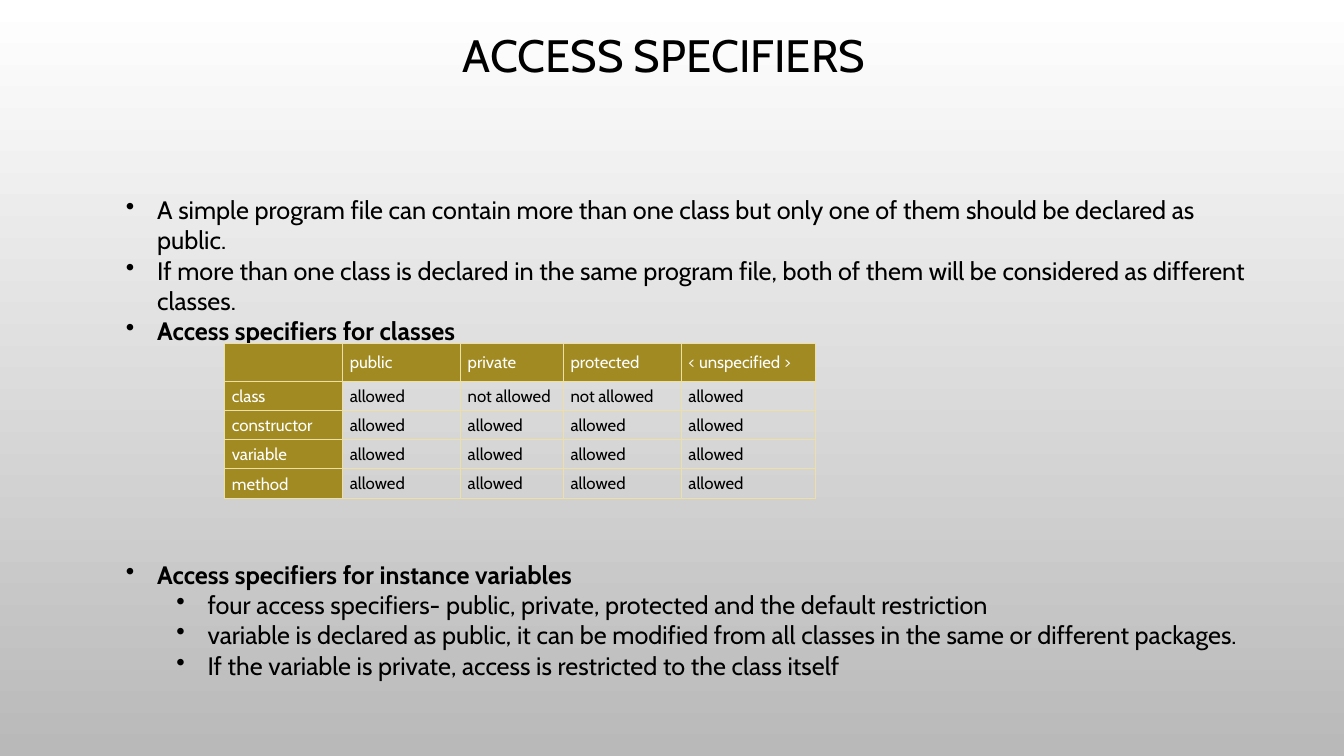
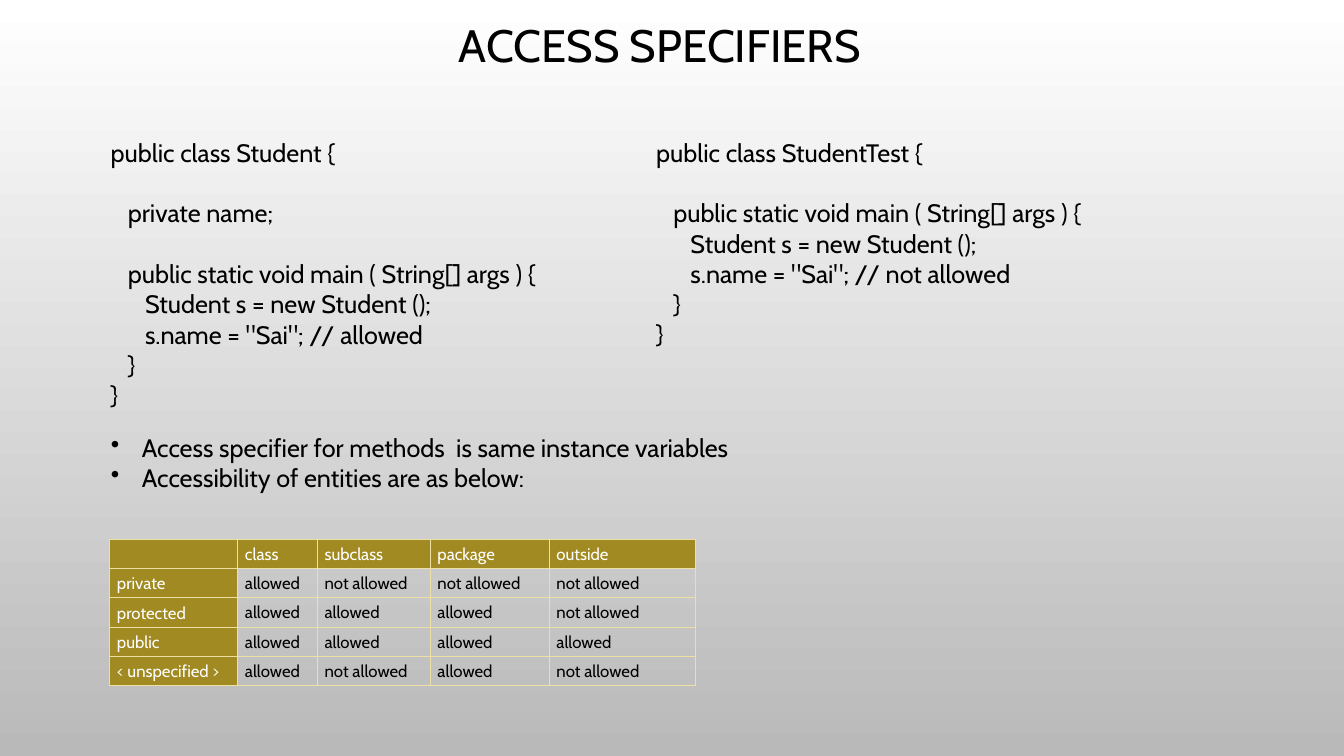
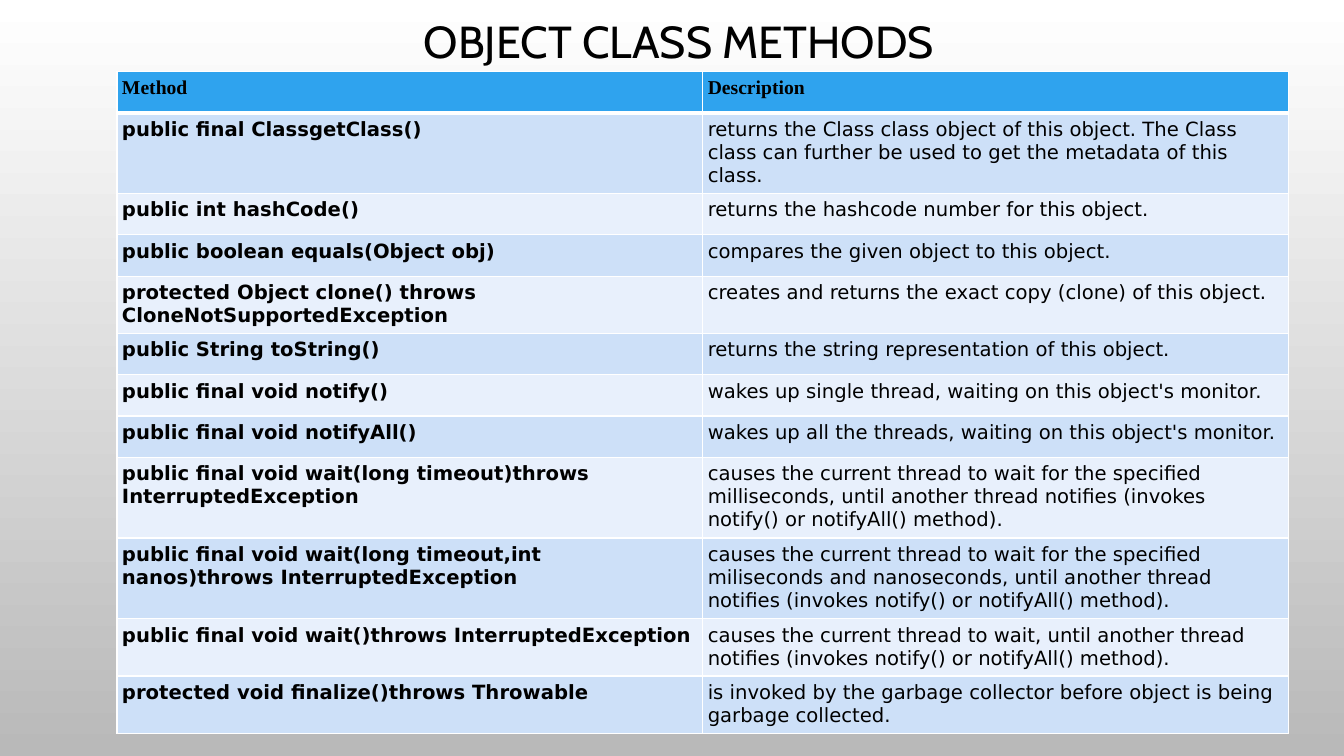
from lxml.etree import SubElement
from pptx import Presentation
from pptx.dml.color import RGBColor
from pptx.enum.text import MSO_ANCHOR, PP_ALIGN
from pptx.oxml.ns import qn
from pptx.util import Inches, Pt

COLORS = {
    "text": "000000",
    "white": "FFFFFF",
    "background_end": "B9B9B9",
    "olive": "A08A21",
    "olive_border": "EDE0A7",
    "blue": "2FA3EE",
    "band_dark": "CDE0F8",
    "band_light": "E8F0FC",
}
FONT = "Cabin"
METHOD_FONT = "DejaVu Sans"
HEADER_FONT = "Times New Roman"
BODY_SIZE = 18
CODE_LINE = Pt(21.8)
CODE_INDENT = 0.17
BULLET_HANG = 0.31

CLASS_ACCESS = [
    ["", "public", "private", "protected", "< unspecified >"],
    ["class", "allowed", "not allowed", "not allowed", "allowed"],
    ["constructor"] + ["allowed"] * 4,
    ["variable"] + ["allowed"] * 4,
    ["method"] + ["allowed"] * 4,
]
ENTITY_ACCESS = [
    ["", "class", "subclass", "package", "outside"],
    ["private", "allowed", "not allowed", "not allowed", "not allowed"],
    ["protected", "allowed", "allowed", "allowed", "not allowed"],
    ["public"] + ["allowed"] * 4,
    ["< unspecified >", "allowed", "not allowed", "allowed", "not allowed"],
]
OBJECT_METHODS = [
    ("Method", "Description"),
    ("public final ClassgetClass()",
     "returns the Class class object of this object. The Class class can "
     "further be used to get the metadata of this class."),
    ("public int hashCode()", "returns the hashcode number for this object."),
    ("public boolean equals(Object obj)",
     "compares the given object to this object."),
    ("protected Object clone() throws CloneNotSupportedException",
     "creates and returns the exact copy (clone) of this object."),
    ("public String toString()",
     "returns the string representation of this object."),
    ("public final void notify()",
     "wakes up single thread, waiting on this object's monitor."),
    ("public final void notifyAll()",
     "wakes up all the threads, waiting on this object's monitor."),
    ("public final void wait(long timeout)throws InterruptedException",
     "causes the current thread to wait for the specified milliseconds, until "
     "another thread notifies (invokes notify() or notifyAll() method)."),
    ("public final void wait(long timeout,int nanos)throws "
     "InterruptedException",
     "causes the current thread to wait for the specified miliseconds and "
     "nanoseconds, until another thread notifies (invokes notify() or "
     "notifyAll() method)."),
    ("public final void wait()throws InterruptedException",
     "causes the current thread to wait, until another thread notifies "
     "(invokes notify() or notifyAll() method)."),
    ("protected void finalize()throws Throwable",
     "is invoked by the garbage collector before object is being garbage "
     "collected."),
]

# Each code line is (indent level, text); None is a blank line.
STUDENT_CODE = [
    (0, "public class Student {"),
    None,
    (1, "private name;"),
    None,
    (1, "public static void main ( String[] args ) {"),
    (2, "Student s = new Student ();"),
    (2, 's.name = "Sai"; // allowed'),
    (1, "}"),
    (0, "}"),
]
STUDENT_TEST_CODE = [
    (0, "public class StudentTest {"),
    None,
    (1, "public static void main ( String[] args ) {"),
    (2, "Student s = new Student ();"),
    (2, 's.name = "Sai"; // not allowed'),
    (1, "}"),
    (0, "}"),
]


def color(name):
    return RGBColor.from_string(COLORS[name])


def set_font(paragraph, size, name=FONT, bold=False, color_name="text"):
    font = paragraph.font
    font.size = Pt(size)
    font.name = name
    font.bold = bold
    font.color.rgb = color(color_name)


def set_indent(paragraph, left, first=0.0):
    properties = paragraph._p.get_or_add_pPr()
    properties.set("marL", str(Inches(left)))
    properties.set("indent", str(Inches(first)))
    return properties


def set_background(master):
    fill = master.background.fill
    fill.gradient()
    fill.gradient_angle = 270
    for stop, name in zip(fill.gradient_stops, ("white", "background_end")):
        stop.color.rgb = color(name)


def add_text_frame(slide, left, top, width, height):
    shape = slide.shapes.add_textbox(*map(Inches, (left, top, width, height)))
    shape.text_frame.word_wrap = True
    return shape.text_frame


def add_paragraphs(frame, count):
    """Return count paragraphs, starting with the one already in the frame."""
    return [frame.paragraphs[0]] + [
        frame.add_paragraph() for _ in range(count - 1)]


def add_title(slide, text, left, top, height, size=32.4):
    frame = add_text_frame(slide, left, top, 11.33, height)
    frame.vertical_anchor = MSO_ANCHOR.MIDDLE
    paragraph = frame.paragraphs[0]
    paragraph.text = text
    paragraph.alignment = PP_ALIGN.CENTER
    paragraph.line_spacing = 0.9
    set_font(paragraph, size)


def add_bullets(slide, items, left, top, width, height):
    """Add bullets from (level, text, bold) items; return the paragraphs."""
    frame = add_text_frame(slide, left, top, width, height)
    paragraphs = add_paragraphs(frame, len(items))
    for paragraph, (level, text, bold) in zip(paragraphs, items):
        paragraph.text = text
        paragraph.level = level
        set_font(paragraph, BODY_SIZE, bold=bold)
        properties = set_indent(
            paragraph, BULLET_HANG + 0.5 * level, -BULLET_HANG)
        bullet = properties.makeelement(qn("a:buChar"), {"char": "•"})
        properties.find(qn("a:defRPr")).addprevious(bullet)
    return paragraphs


def add_code(slide, lines, left, top, width, height):
    frame = add_text_frame(slide, left, top, width, height)
    paragraphs = iter(add_paragraphs(frame, len(lines) - lines.count(None)))
    gap = Pt(0)
    for line in lines:
        if line is None:
            gap = CODE_LINE
            continue
        level, text = line
        paragraph = next(paragraphs)
        paragraph.text = text
        paragraph.space_before = gap
        set_font(paragraph, BODY_SIZE)
        set_indent(paragraph, level * CODE_INDENT)
        gap = Pt(0)


def set_borders(cell, color_name, width, bottom_width=None):
    properties = cell._tc.get_or_add_tcPr()
    for side in ("lnL", "lnR", "lnT", "lnB"):
        points = bottom_width if side == "lnB" and bottom_width else width
        line = SubElement(properties, qn(f"a:{side}"), w=str(Pt(points)))
        fill = SubElement(line, qn("a:solidFill"))
        SubElement(fill, qn("a:srgbClr"), val=COLORS[color_name])


def set_margins(cell, left, top, right, bottom):
    cell.margin_left, cell.margin_top = Inches(left), Inches(top)
    cell.margin_right, cell.margin_bottom = Inches(right), Inches(bottom)


def add_table(slide, rows, left, top, widths, heights, style_cell):
    """Add a plain table; style_cell(cell, row, column) formats each cell."""
    frame = slide.shapes.add_table(
        len(rows), len(widths), Inches(left), Inches(top),
        Inches(sum(widths)), Inches(sum(heights)))
    table = frame.table
    table.first_row = table.horz_banding = False
    for column, width in zip(table.columns, widths):
        column.width = Inches(width)
    for row, height in zip(table.rows, heights):
        row.height = Inches(height)
    for row_index, texts in enumerate(rows):
        for column_index, text in enumerate(texts):
            cell = table.cell(row_index, column_index)
            if text:
                cell.text = text
            style_cell(cell, row_index, column_index)


def style_access_cell(cell, row, column):
    is_header = row == 0 or column == 0
    cell.vertical_anchor = MSO_ANCHOR.MIDDLE
    set_borders(cell, "olive_border", 0.75)
    if is_header:
        set_margins(cell, 0.07, 0.05, 0.07, 0.04)
        cell.fill.solid()
        cell.fill.fore_color.rgb = color("olive")
    else:
        set_margins(cell, 0.07, 0.03, 0.07, 0.02)
        cell.fill.background()
    paragraph = cell.text_frame.paragraphs[0]
    set_font(paragraph, 12, color_name="white" if is_header else "text")
    if not cell.text:
        SubElement(paragraph._p, qn("a:endParaRPr"), sz="1200")


def style_method_cell(cell, row, column):
    is_header = row == 0
    set_margins(cell, 0.05, 0.05, 0.05, 0.05)
    set_borders(cell, "white", 1, bottom_width=3 if is_header else None)
    band = "band_dark" if row % 2 else "band_light"
    cell.fill.solid()
    cell.fill.fore_color.rgb = color("blue" if is_header else band)
    set_font(cell.text_frame.paragraphs[0], 14,
             name=HEADER_FONT if is_header else METHOD_FONT,
             bold=is_header or column == 0)


def build_specifiers_slide(slide):
    add_title(slide, "ACCESS SPECIFIERS", 0.92, 0.28, 0.59)
    paragraphs = add_bullets(slide, [
        (0, "A simple program file can contain more than one class but only "
            "one of them should be declared as public.", False),
        (0, "If more than one class is declared in the same program file, "
            "both of them will be considered as different classes.", False),
        (0, "Access specifiers for classes", True),
        (0, "Access specifiers for instance variables", True),
        (1, "four access specifiers- public, private, protected and the "
            "default restriction", False),
        (1, "variable is declared as public, it can be modified from all "
            "classes in the same or different packages.", False),
        (1, "If the variable is private, access is restricted to the class "
            "itself", False),
    ], 1.15, 1.88, 11.48, 4.95)
    paragraphs[3].space_before = 7 * CODE_LINE  # room for the table
    add_table(slide, CLASS_ACCESS, 2.23, 3.41, [1.17, 1.17, 1.02, 1.17, 1.33],
              [0.37] + [0.29] * 4, style_access_cell)


def build_example_slide(slide):
    add_title(slide, "ACCESS SPECIFIERS", 0.88, 0.27, 0.41)
    add_code(slide, STUDENT_CODE, 1, 1.31, 4.87, 2.83)
    add_code(slide, STUDENT_TEST_CODE, 6.41, 1.31, 5.73, 2.22)
    add_bullets(slide, [
        (0, "Access specifier for methods  is same instance variables", False),
        (0, "Accessibility of entities are as below:", False),
    ], 1, 4.24, 8.52, 0.71)
    add_table(slide, ENTITY_ACCESS, 1.09, 5.35, [1.27, 0.79, 1.12, 1.18, 1.45],
              [0.29] * 5, style_access_cell)


def build_methods_slide(slide):
    add_title(slide, "OBJECT CLASS METHODS", 1.07, 0, 0.88, size=32)
    add_table(slide, OBJECT_METHODS, 1.16, 0.71, [5.81, 5.81],
              [0.41] * len(OBJECT_METHODS), style_method_cell)


def main():
    presentation = Presentation()
    presentation.slide_width = Inches(13.33)
    presentation.slide_height = Inches(7.5)
    set_background(presentation.slide_master)
    blank_layout = presentation.slide_layouts[6]
    for build in (build_specifiers_slide, build_example_slide,
                  build_methods_slide):
        build(presentation.slides.add_slide(blank_layout))
    presentation.save("out.pptx")


if __name__ == "__main__":
    main()
